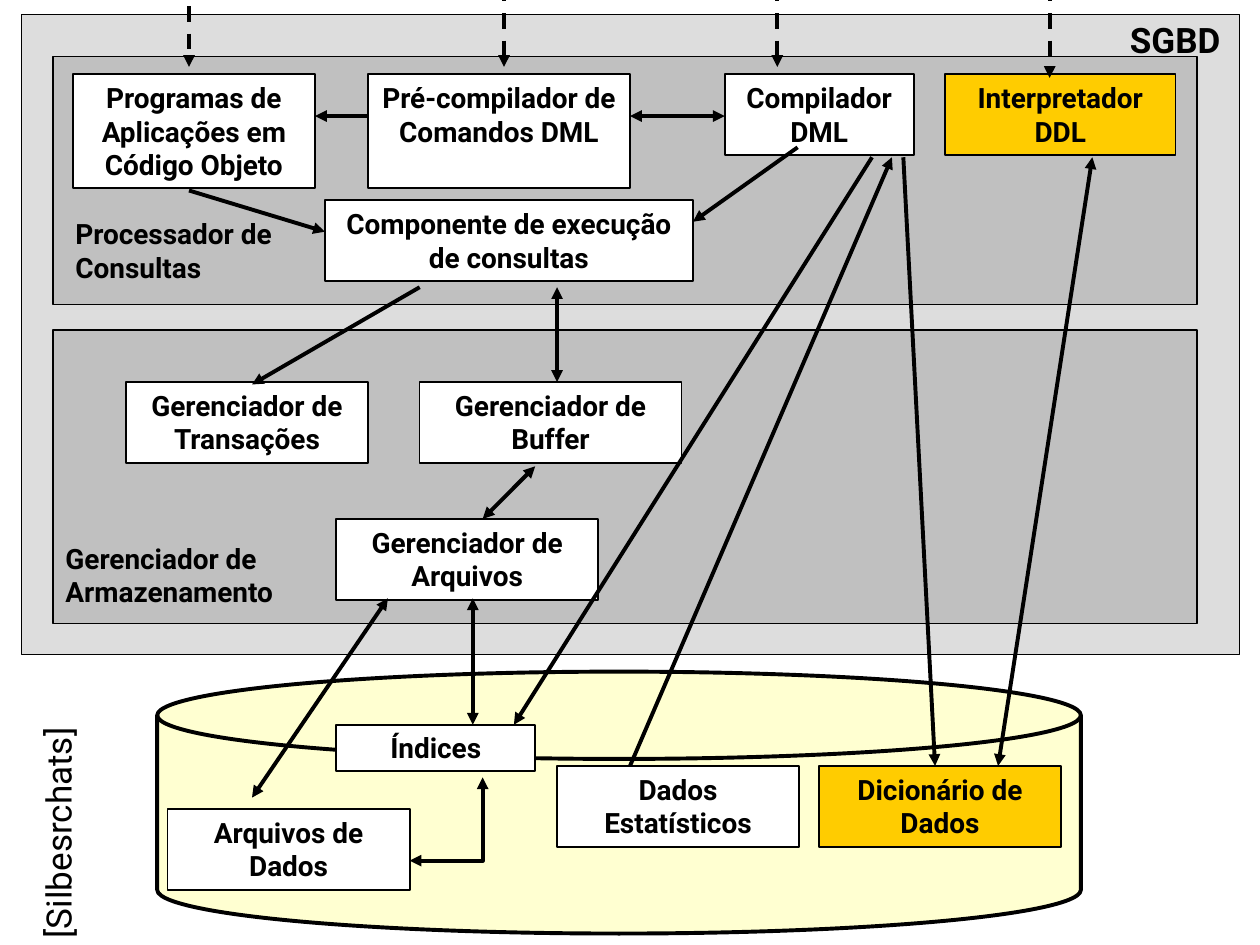
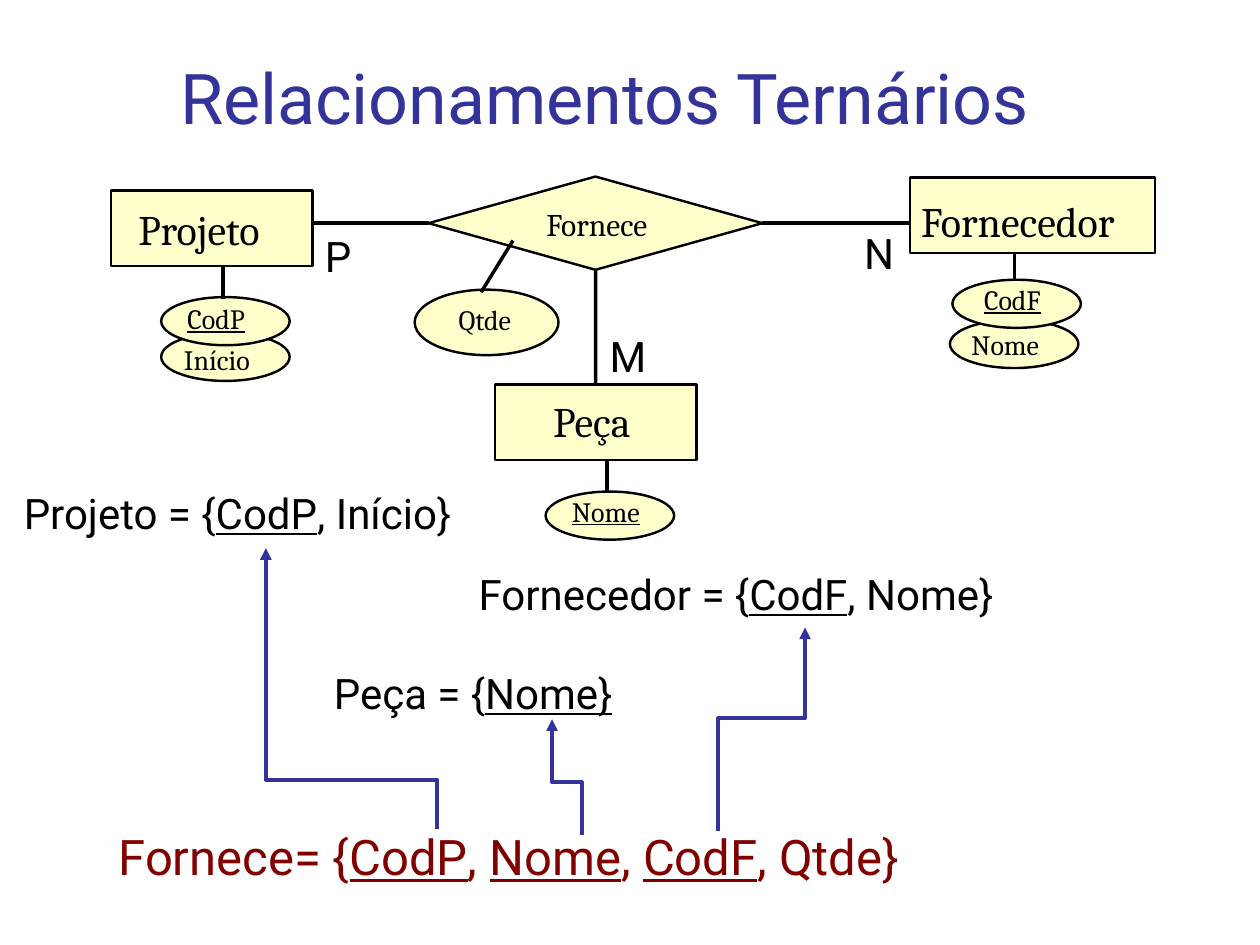
from dataclasses import dataclass

from lxml import etree
from pptx import Presentation
from pptx.dml.color import RGBColor
from pptx.enum import dml, shapes, text
from pptx.oxml.ns import qn
from pptx.util import Cm, Pt

SHAPE = shapes.MSO_SHAPE
ALIGN = text.PP_ALIGN


@dataclass(frozen=True)
class Theme:
    # Colours
    black: str = "000000"
    white: str = "FFFFFF"
    system: str = "DDDDDD"
    panel: str = "C0C0C0"
    gold: str = "FFCC00"
    disk: str = "FFFFD1"
    cream: str = "FFFFCC"
    blue: str = "333399"
    maroon: str = "800000"
    # Fonts
    sans: str = "Roboto"
    serif: str = "Cambria"
    # Type sizes
    title: int = 40
    result: int = 28
    large: int = 24
    heading: int = 20
    medium: int = 18
    small: int = 16
    # Line widths
    thin: float = 1
    outline: float = 1.39
    link: float = 2
    arrow: float = 2.25


T = Theme()


def cm(*inches):
    """Layout grid is in inches; lengths are handed over in centimetres."""
    return [Cm(round(2.54 * v, 2)) for v in inches]


def rgb(colour):
    return RGBColor.from_string(colour)


# ---- Element kinds ----

def style_line(line, colour, width, arrows=""):
    """arrows holds '<' for a head at the start and '>' for one at the end."""
    line.color.rgb = rgb(colour)
    line.width = Pt(width)
    ln = line._get_or_add_ln()
    for mark, tag in (("<", "a:headEnd"), (">", "a:tailEnd")):
        if mark in arrows:
            etree.SubElement(ln, qn(tag), type="triangle")


def write(sp, words, size, font=T.sans, colour=T.black, bold=False, key=False,
          align=ALIGN.LEFT, anchor=text.MSO_ANCHOR.TOP, inset=True, wrap=True):
    """Write one paragraph; parts between underscores, or all if key, are underlined."""
    tf = sp.text_frame
    tf.word_wrap = wrap
    tf.auto_size = text.MSO_AUTO_SIZE.SHAPE_TO_FIT_TEXT
    tf.vertical_anchor = anchor
    if not inset:
        tf.margin_left = tf.margin_right = tf.margin_top = tf.margin_bottom = 0
    first, *rest = words.split("_")
    tf.text = first
    p = tf.paragraphs[0]
    p.alignment = align
    for part in rest:
        p.add_run().text = part
    for i, r in enumerate(p.runs):
        r.font.name, r.font.size, r.font.bold = font, Pt(size), bold
        r.font.color.rgb = rgb(colour)
        r.font.underline = key or i % 2 == 1


def add_label(slide, at, words, size, **style):
    sp = slide.shapes.add_textbox(*cm(*at))
    write(sp, words, size, **style)
    return sp


def add_figure(slide, kind, at, fill, width=T.thin):
    sp = slide.shapes.add_shape(kind, *cm(*at))
    sp.shadow.inherit = False
    sp.fill.solid()
    sp.fill.fore_color.rgb = rgb(fill)
    style_line(sp.line, T.black, width)
    return sp


def add_box(slide, at, words, fill=T.white):
    sp = add_figure(slide, SHAPE.RECTANGLE, at, fill)
    write(sp, words, T.small, bold=True, align=ALIGN.CENTER)


def add_er_part(slide, kind, at, label_at, words, size=T.small, **style):
    """Entity, attribute or relationship with its own placed name."""
    sp = add_figure(slide, kind, at, T.cream, T.outline)
    add_label(slide, label_at, words, size, font=T.serif, inset=False, **style)
    return sp


def add_link(slide, ends, arrows="", width=T.arrow, dashed=False):
    line = slide.shapes.add_connector(shapes.MSO_CONNECTOR.STRAIGHT, *cm(*ends))
    if dashed:
        line.line.dash_style = dml.MSO_LINE.DASH
    style_line(line.line, T.black, width, arrows)
    etree.SubElement(line._element.spPr, qn("a:effectLst"))
    return line


def add_elbow(slide, points, arrows, colour=T.black):
    start, *others = [cm(*point) for point in points]
    builder = slide.shapes.build_freeform(*start, scale=1.0)
    builder.add_line_segments(others, close=False)
    sp = builder.convert_to_shape()
    sp.shadow.inherit = False
    sp.fill.background()
    style_line(sp.line, colour, T.arrow, arrows)


# ---- Slides ----

def build_dbms(slide):
    # System, its two panels and the disk
    add_figure(slide, SHAPE.RECTANGLE, (0.17, 0.12, 9.67, 5.08), T.system, 0.75)
    for top, height in ((0.45, 1.97), (2.62, 2.33)):
        add_figure(slide, SHAPE.RECTANGLE, (0.42, top, 9.08, height), T.panel)
    add_figure(slide, SHAPE.FLOWCHART_MAGNETIC_DISK, (1.25, 5.33, 7.33, 2.08),
               T.disk, T.arrow)

    # Components
    for left, top, width, height, words in (
        (2.92, 0.59, 2.08, 0.9, "Pré-compilador de Comandos DML"),
        (0.58, 0.59, 1.92, 0.9, "Programas de Aplicações em Código Objeto"),
        (5.75, 0.59, 1.5, 0.64, "Compilador DML"),
        (2.58, 1.59, 2.92, 0.64, "Componente de execução de consultas"),
        (3.33, 3.03, 2.08, 0.64, "Gerenciador de Buffer"),
        (1, 3.03, 1.92, 0.64, "Gerenciador de Transações"),
        (2.67, 4.12, 2.08, 0.64, "Gerenciador de Arquivos"),
        (2.67, 5.75, 1.58, 0.37, "Índices"),
        (4.42, 6.08, 1.92, 0.64, "Dados Estatísticos"),
        (1.33, 6.42, 1.92, 0.64, "Arquivos de Dados"),
    ):
        add_box(slide, (left, top, width, height), words)
    add_box(slide, (7.5, 0.59, 1.83, 0.64), "Interpretador DDL", T.gold)
    add_box(slide, (6.5, 6.08, 1.92, 0.64), "Dicionário de Dados", T.gold)

    # Panel names, system name and source
    add_label(slide, (0.42, 4.25, 2.36, 0.64), "Gerenciador de Armazenamento",
              T.small, bold=True)
    add_label(slide, (0.5, 1.67, 1.83, 0.64), "Processador de Consultas",
              T.small, bold=True)
    add_label(slide, (8.87, 0.1, 0.95, 0.44), "SGBD", T.heading, bold=True, wrap=False)
    source = add_label(slide, (-0.51, 6.35, 1.95, 0.44), "[Silbesrchats]",
                       T.heading, wrap=False)
    source.rotation = 270

    # Inputs from above
    for x, top, bottom in ((1.5, -0.17, 0.53), (4, -0.33, 0.53),
                           (6.17, -0.33, 0.53), (8.33, -0.33, 0.62)):
        add_link(slide, (x, top, x, bottom), ">", dashed=True)

    # Flows between components
    for arrows, ends in (
        (">", (2.92, 0.92, 2.5, 0.92)),
        (">", (1.5, 1.51, 2.58, 1.84)),
        (">", (6.33, 1.17, 5.5, 1.76)),
        ("<>", (5, 0.92, 5.75, 0.92)),
        (">", (3.33, 2.28, 2, 3.05)),
        ("<>", (4.42, 2.28, 4.42, 3.03)),
        ("<>", (4.25, 3.7, 3.83, 4.12)),
        ("<>", (3.75, 4.75, 3.75, 5.75)),
        ("<>", (3.08, 4.75, 2, 6.33)),
        (">", (6.92, 1.25, 4.08, 5.75)),
        ("<", (7.08, 1.25, 5, 6.08)),
        (">", (7.17, 1.25, 7.42, 6.08)),
        ("<>", (8.67, 1.25, 7.92, 6.08)),
    ):
        add_link(slide, ends, arrows)
    add_elbow(slide, ((3.83, 6.17), (3.83, 6.83), (3.25, 6.83)), "<>")


def build_ternary(slide):
    add_label(slide, (1.43, 0.43, 7.44, 0.67), "Relacionamentos Ternários", T.title,
              colour=T.blue, anchor=text.MSO_ANCHOR.BOTTOM, inset=False)

    # Attributes, lower ones first so that the keys overlap them
    for left, top, x, y, words, key in (
        (7.54, 2.54, 7.71, 2.6, "Nome", False),
        (1.28, 2.64, 1.46, 2.72, "Início", False),
        (1.28, 2.36, 1.49, 2.39, "CodP", True),
        (7.56, 2.22, 7.81, 2.24, "CodF", True),
        (4.33, 3.9, 4.54, 3.92, "Nome", True),
    ):
        add_er_part(slide, SHAPE.OVAL, (left, top, 1.02, 0.38), (x, y, 0.73, 0.27),
                    words, key=key)
    add_er_part(slide, SHAPE.OVAL, (3.29, 2.3, 1.14, 0.52), (3.32, 2.4, 1.06, 0.27),
                "Qtde", align=ALIGN.CENTER)

    # Relationship and entities
    supplies = add_er_part(slide, SHAPE.DIAMOND, (3.4, 1.4, 2.65, 0.74),
                           (3.93, 1.63, 1.62, 0.3), "Fornece", T.medium,
                           align=ALIGN.CENTER)
    add_er_part(slide, SHAPE.RECTANGLE, (7.22, 1.41, 1.95, 0.6),
                (7.31, 1.55, 2.04, 0.4), "Fornecedor", T.large)
    add_er_part(slide, SHAPE.RECTANGLE, (0.88, 1.51, 1.6, 0.6),
                (1.1, 1.62, 1.26, 0.4), "Projeto", T.large)
    piece = add_er_part(slide, SHAPE.RECTANGLE, (3.93, 3.05, 1.6, 0.6),
                        (4.39, 3.14, 0.96, 0.4), "Peça", T.large)

    # Links to attributes
    for ends in ((8.05, 2.23, 8.05, 2.01), (1.77, 2.37, 1.77, 2.11),
                 (4.82, 3.91, 4.82, 3.65), (3.82, 2.32, 4.07, 1.91)):
        add_link(slide, ends, width=T.link)

    # Links from the relationship to the entities
    add_link(slide, (3.4, 1.77, 2.48, 1.77), width=T.link).begin_connect(supplies, 1)
    add_link(slide, (6.05, 1.77, 7.23, 1.77), width=T.link).begin_connect(supplies, 3)
    to_piece = add_link(slide, (4.73, 2.14, 4.73, 3.05), width=T.link)
    to_piece.begin_connect(supplies, 2)
    to_piece.end_connect(piece, 0)

    # Cardinalities
    for x, y, words in ((2.48, 1.78, "P"), (6.76, 1.76, "N"), (4.74, 2.57, "M")):
        add_label(slide, (x, y, 0.42, 0.5), words, T.large)

    # Resulting schemas
    for x, y, width, words in (
        (0.19, 3.87, 3.81, "Projeto = {_CodP_, Início}"),
        (3.8, 4.51, 6, "Fornecedor = {_CodF_, Nome}"),
        (2.65, 5.3, 3.34, "Peça = {_Nome}"),
    ):
        add_label(slide, (x, y, width, 0.4), words, T.large, inset=False)
    add_label(slide, (0.94, 6.56, 7.85, 0.47), "Fornece= {_CodP_, _Nome_, _CodF_, Qtde}",
              T.result, colour=T.maroon, inset=False)

    # Foreign keys: up, across, up
    for x1, bottom, turn, x2, top in ((3.47, 6.58, 6.19, 2.11, 4.35),
                                      (4.62, 6.63, 6.21, 4.38, 5.71),
                                      (5.7, 6.6, 5.7, 6.39, 4.98)):
        add_elbow(slide, ((x1, bottom), (x1, turn), (x2, turn), (x2, top)), ">", T.blue)


def main():
    prs = Presentation()
    prs.slide_width, prs.slide_height = cm(10, 7.5)
    blank = prs.slide_layouts[6]
    for build in (build_dbms, build_ternary):
        build(prs.slides.add_slide(blank))
    prs.save("out.pptx")


if __name__ == "__main__":
    main()
